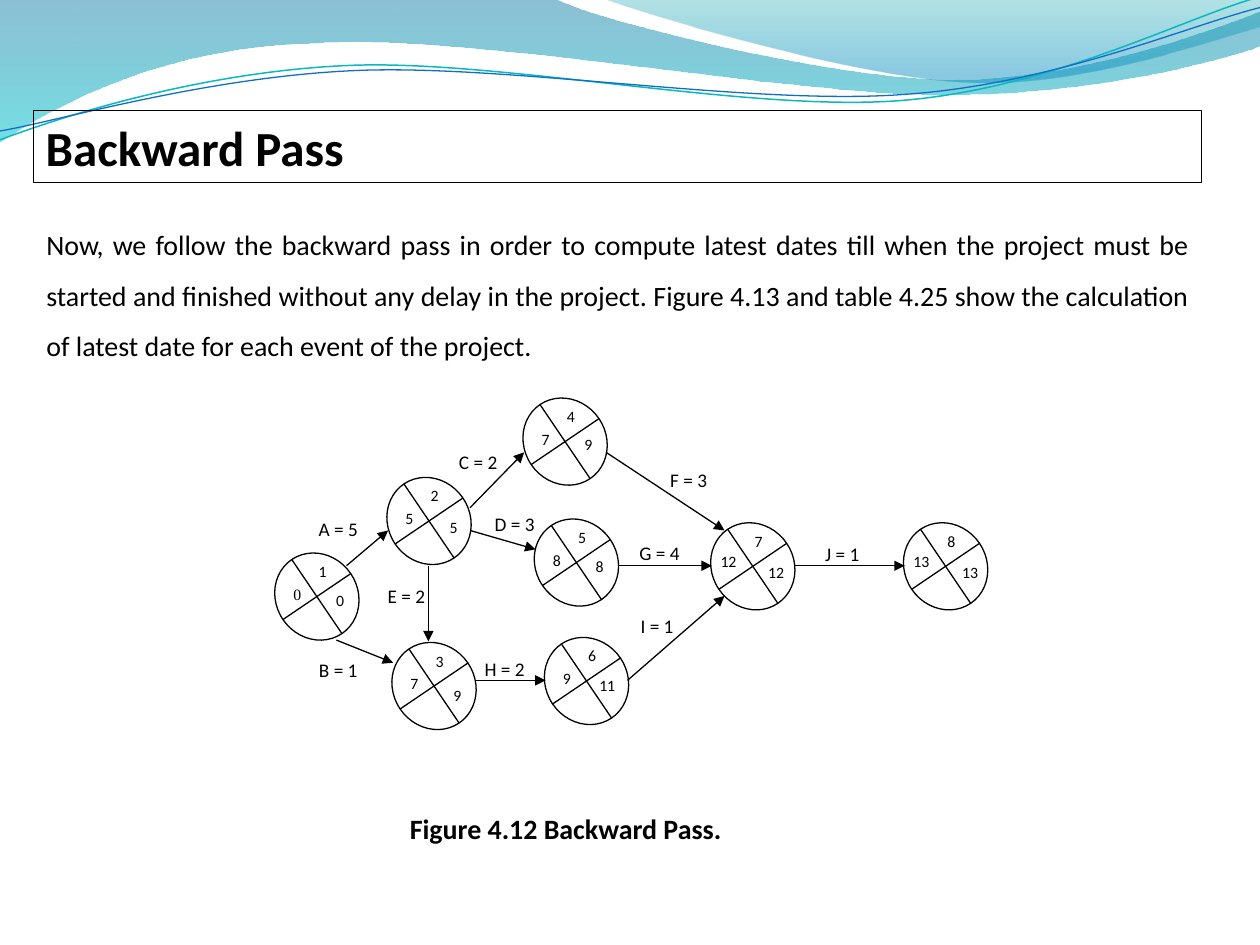
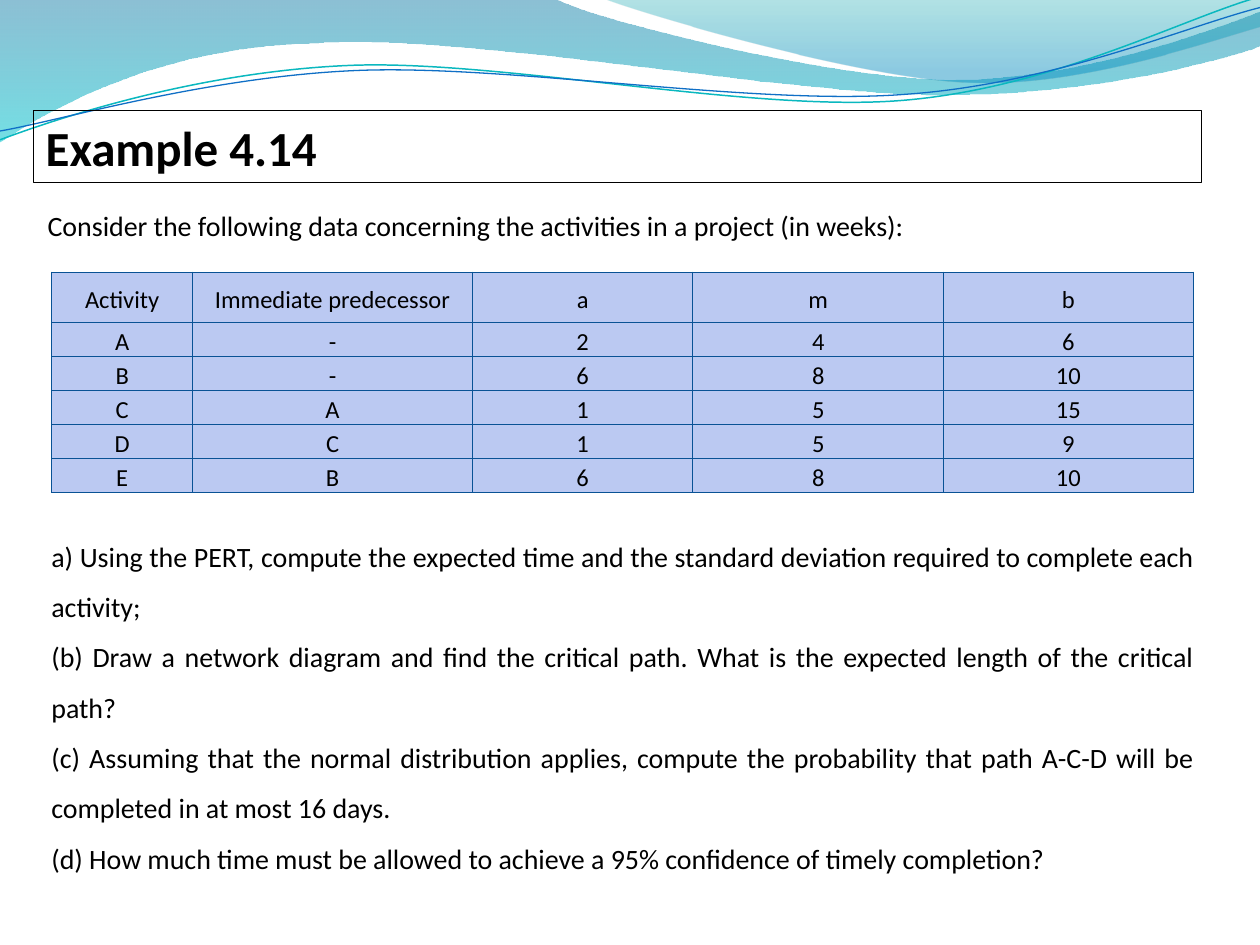
import pptx
import pptx.dml.color
import pptx.enum.shapes
import pptx.enum.text
import pptx.oxml.ns
import pptx.util
from lxml import etree

ALIGN = pptx.enum.text.PP_ALIGN
ANCHOR = pptx.enum.text.MSO_ANCHOR
PRESET = pptx.enum.shapes.MSO_SHAPE
Pt = pptx.util.Pt
qn = pptx.oxml.ns.qn
color = pptx.dml.color.RGBColor.from_string

BLACK, WHITE = "000000", "FFFFFF"
TABLE_FILL, TABLE_BORDER = "BBC9F2", "095295"
FONT = "Calibri"
HAIRLINE = Pt(0.75)

# Each wave: start point, then straight (one point) or curved (three points) steps
BANDS = [
    ((0, 0), [[(4.4, -0.01)],
              [(4.76, 0.17), (6.64, 0.63), (7.58, 0.63)],
              [(8.53, 0.63), (9.58, 0.26), (10, 0.09)],
              [(10.01, 0.36)],
              [(9.83, 0.44), (8.7, 0.76), (7.46, 0.75)],
              [(6.22, 0.75), (3.82, 0.28), (2.57, 0.34)],
              [(1.29, 0.36), (0.46, 0.83), (-0.01, 1.13)],
              [(0, 0)]],
     [(0, "0074A1", 45), (1, "00C6CF", 55)]),
    ((4.79, -0.01), [[(5.09, 0.11), (6.82, 0.62), (7.69, 0.65)],
                     [(8.56, 0.69), (9.61, 0.32), (10, 0.21)],
                     [(10, 0)],
                     [(4.79, -0.01)]],
     [(0, "00A1A9", 30), (0.8, "008BBF", 45)]),
]
STRANDS = [
    ((0, 1.11), [[(0.48, 0.93), (1.58, 0.57), (2.77, 0.52)],
                 [(3.95, 0.47), (5.93, 0.89), (7.13, 0.8)],
                 [(8.33, 0.71), (9.38, 0.15), (9.98, -0.02)]], ("0AB8BF", 0.85)),
    ((0, 1.04), [[(0.47, 0.96), (1.64, 0.61), (2.83, 0.56)],
                 [(4.03, 0.51), (5.97, 0.84), (7.17, 0.75)],
                 [(8.36, 0.67), (9.41, 0.21), (10, 0.06)]], ("0F6FC6", 0.75)),
]

prs = pptx.Presentation()
prs.slide_width = pptx.util.Inches(10)
prs.slide_height = pptx.util.Inches(7.5)
column = prs.slide_width // 10
blank = prs.slide_layouts[6]
network, example = [prs.slides.add_slide(blank) for _ in range(2)]


def grid(*lengths):
    """Turn lengths on a grid of 10 columns by 7.5 rows into EMU."""
    return [round(length * column) for length in lengths]


def write(shape, lines, size, align=ALIGN.LEFT, anchor=ANCHOR.TOP, bold=False,
          font=FONT, spacing=None, tight=False):
    frame = shape.text_frame
    frame.text = "\n".join(lines)
    frame.word_wrap = True
    frame.vertical_anchor = anchor
    if tight:
        frame.margin_left = frame.margin_right = frame.margin_top = frame.margin_bottom = 0
    for paragraph in frame.paragraphs:
        paragraph.alignment = align
        paragraph.line_spacing = spacing
        paragraph.font.name = font
        paragraph.font.size = Pt(size)
        paragraph.font.bold = bold
        paragraph.font.color.rgb = color(BLACK)


# Waves, moved to the layout so that both slides show them
for start, steps, paint in BANDS + STRANDS:
    closed = isinstance(paint, list)
    builder = network.shapes.build_freeform(*grid(*start))
    builder.add_line_segments([grid(*point) for step in steps for point in step], close=closed)
    wave = builder.convert_to_shape()
    wave.shadow.inherit = False
    outline = next(wave.element.iter(qn("a:path")))
    segments = iter(outline.findall(qn("a:lnTo")))
    for step in steps:
        curve, *controls = [next(segments) for _ in step]
        if controls:
            curve.tag = qn("a:cubicBezTo")
        for control in controls:
            curve.append(control[0])
            outline.remove(control)
    if closed:
        wave.line.fill.background()
        wave.fill.gradient()
        wave.fill.gradient_angle = 270
        for stop, (position, shade, _) in zip(wave.fill.gradient_stops, paint):
            stop.position = position
            stop.color.rgb = color(shade)
        for tint, (_, _, opacity) in zip(wave.element.iter(qn("a:srgbClr")), paint):
            etree.SubElement(tint, qn("a:alpha"), val=str(opacity * 1000))
    else:
        wave.fill.background()
        wave.line.color.rgb = color(paint[0])
        wave.line.width = Pt(paint[1])
    blank.shapes.element.append(wave.element)

for slide, heading in ((network, "Backward Pass"), (example, "Example 4.14")):
    title = slide.shapes.add_shape(PRESET.RECTANGLE, *grid(0.265, 0.88, 9.27, 0.57))
    title.shadow.inherit = False
    title.fill.background()
    title.line.color.rgb = color(BLACK)
    title.line.width = HAIRLINE
    write(title, [heading], 28, bold=True)

# Slide 1: backward pass network
write(network.shapes.add_textbox(*grid(0.27, 1.64, 9.27, 1.27)), [
    "Now, we follow the backward pass in order to compute latest dates till when the project "
    "must be started and finished without any delay in the project. Figure 4.13 and table 4.25 "
    "show the calculation of latest date for each event of the project."],
    16, ALIGN.JUSTIFY, ANCHOR.MIDDLE, spacing=1.5)

# Activity: label position, arrow start, arrow end
activities = {
    "A = 5": ((2.43, 4.11), (2.75, 4.49), (3.08, 4.21)),
    "B = 1": ((2.43, 5.23), (2.67, 5.08), (3.12, 5.26)),
    "C = 2": ((3.54, 3.58), (3.73, 4.03), (4.16, 3.59)),
    "D = 3": ((3.83, 4.07), (3.73, 4.21), (4.25, 4.36)),
    "E = 2": ((2.97, 4.64), (3.4, 4.49), (3.4, 5.09)),
    "F = 3": ((5.21, 3.72), (4.81, 3.59), (5.75, 4.21)),
    "G = 4": ((4.98, 4.3), (4.91, 4.49), (5.65, 4.49)),
    "H = 2": ((3.75, 5.22), (3.77, 5.4), (4.33, 5.4)),
    "I = 1": ((4.96, 4.88), (4.98, 5.4), (5.75, 4.73)),
    "J = 1": ((6.43, 4.31), (6.3, 4.49), (7.18, 4.49)),
}
for activity, (corner, _, _) in activities.items():
    label = network.shapes.add_shape(PRESET.RECTANGLE, *grid(*corner, 0.51, 0.17))
    label.shadow.inherit = False
    label.fill.solid()
    label.fill.fore_color.rgb = color(WHITE)
    label.line.fill.background()
    write(label, [activity], 11, ALIGN.CENTER, ANCHOR.MIDDLE, tight=True)

# Event: number, left date, circle corner, right date and its corner
events = [
    ("1", "0", (2.19, 4.38), "0", (2.62, 4.69)),
    ("2", "5", (3.08, 3.78), "5", (3.52, 4.11)),
    ("3", "7", (3.12, 5.09), "9", (3.55, 5.44)),
    ("4", "7", (4.16, 3.15), "9", (4.59, 3.45)),
    ("5", "8", (4.25, 4.11), "8", (4.68, 4.42)),
    ("6", "9", (4.33, 5.05), "11", (4.74, 5.36)),
    ("7", "12", (5.65, 4.14), "12", (6.08, 4.47)),
    ("8", "13", (7.18, 4.14), "13", (7.62, 4.47)),
]
for number, left_date, (x, y), right_date, right_corner in events:
    circle = network.shapes.add_shape(PRESET.FLOWCHART_OR, *grid(x, y, 0.65, 0.71))
    circle.rotation = 325.9
    circle.shadow.inherit = False
    circle.fill.solid()
    circle.fill.fore_color.rgb = color(WHITE)
    circle.line.color.rgb = color(BLACK)
    circle.line.width = HAIRLINE
    left_box = (x + 0.04, y + 0.21, 0.24, 0.23)
    if len(left_date) == 2:
        left_box = (x - 0.03, y + 0.19, 0.35, 0.23)
    write(network.shapes.add_textbox(*grid(x + 0.24, y + 0.03, 0.24, 0.23)), [number], 9)
    write(network.shapes.add_textbox(*grid(*left_box)), [left_date], 9,
          font="Times New Roman" if number == "1" else FONT)
    write(network.shapes.add_textbox(*grid(*right_corner, 0.16, 0.15)), [right_date], 9,
          ALIGN.CENTER, tight=True)

for _, start, end in activities.values():
    arrow = network.shapes.add_connector(
        pptx.enum.shapes.MSO_CONNECTOR.STRAIGHT, *grid(*start, *end))
    arrow.line.color.rgb = color(BLACK)
    arrow.line.width = HAIRLINE
    properties = arrow.element.spPr
    etree.SubElement(properties.find(qn("a:ln")), qn("a:tailEnd"), type="triangle")
    etree.SubElement(properties, qn("a:effectLst"))

write(network.shapes.add_textbox(*grid(2.04, 6.39, 4.9, 0.37)),
      ["Figure 4.12 Backward Pass."], 16, ALIGN.CENTER, bold=True)

# Slide 2: time estimates and questions
write(example.shapes.add_textbox(*grid(0.28, 1.6, 9.27, 0.37)),
      ["Consider the following data concerning the activities in a project (in weeks):"],
      16, anchor=ANCHOR.MIDDLE)

estimates = [
    ("Activity", "Immediate predecessor", "a", "m", "b"),
    ("A", "-", "2", "4", "6"),
    ("B", "-", "6", "8", "10"),
    ("C", "A", "1", "5", "15"),
    ("D", "C", "1", "5", "9"),
    ("E", "B", "6", "8", "10"),
]
table = example.shapes.add_table(
    len(estimates), len(estimates[0]), *grid(0.41, 2.16, 9.06, 1.75)).table
for table_column, width in zip(table.columns, grid(1.12, 2.22, 1.75, 1.99, 1.98)):
    table_column.width = width
for r, values in enumerate(estimates):
    table.rows[r].height = grid(0.27 if r else 0.4)[0]
    for c, value in enumerate(values):
        cell = table.cell(r, c)
        cell.margin_left = cell.margin_right = grid(0.07)[0]
        cell.margin_top = cell.margin_bottom = 0
        cell.vertical_anchor = ANCHOR.MIDDLE
        for side in "LRTB":
            border = etree.SubElement(cell._tc.get_or_add_tcPr(), qn("a:ln" + side),
                                      w=str(HAIRLINE))
            ink = etree.SubElement(border, qn("a:solidFill"))
            etree.SubElement(ink, qn("a:srgbClr"), val=TABLE_BORDER)
        cell.fill.solid()
        cell.fill.fore_color.rgb = color(TABLE_FILL)
        cell.text = value
        paragraph = cell.text_frame.paragraphs[0]
        paragraph.alignment = ALIGN.CENTER
        paragraph.line_spacing = 1.15
        paragraph.font.name = FONT
        paragraph.font.size = Pt(14)
        paragraph.font.bold = False
        paragraph.font.color.rgb = color(BLACK)

write(example.shapes.add_textbox(*grid(0.31, 4.08, 9.27, 2.93)), [
    "a) Using the PERT, compute the expected time and the standard deviation required to "
    "complete each activity;",
    "(b) Draw a network diagram and find the critical path. What is the expected length of the "
    "critical path?",
    "(c) Assuming that the normal distribution applies, compute the probability that path A-C-D "
    "will be completed in at most 16 days.",
    "(d) How much time must be allowed to achieve a 95% confidence of timely completion?"],
    16, ALIGN.JUSTIFY, ANCHOR.MIDDLE, spacing=1.5)

prs.save("out.pptx")
